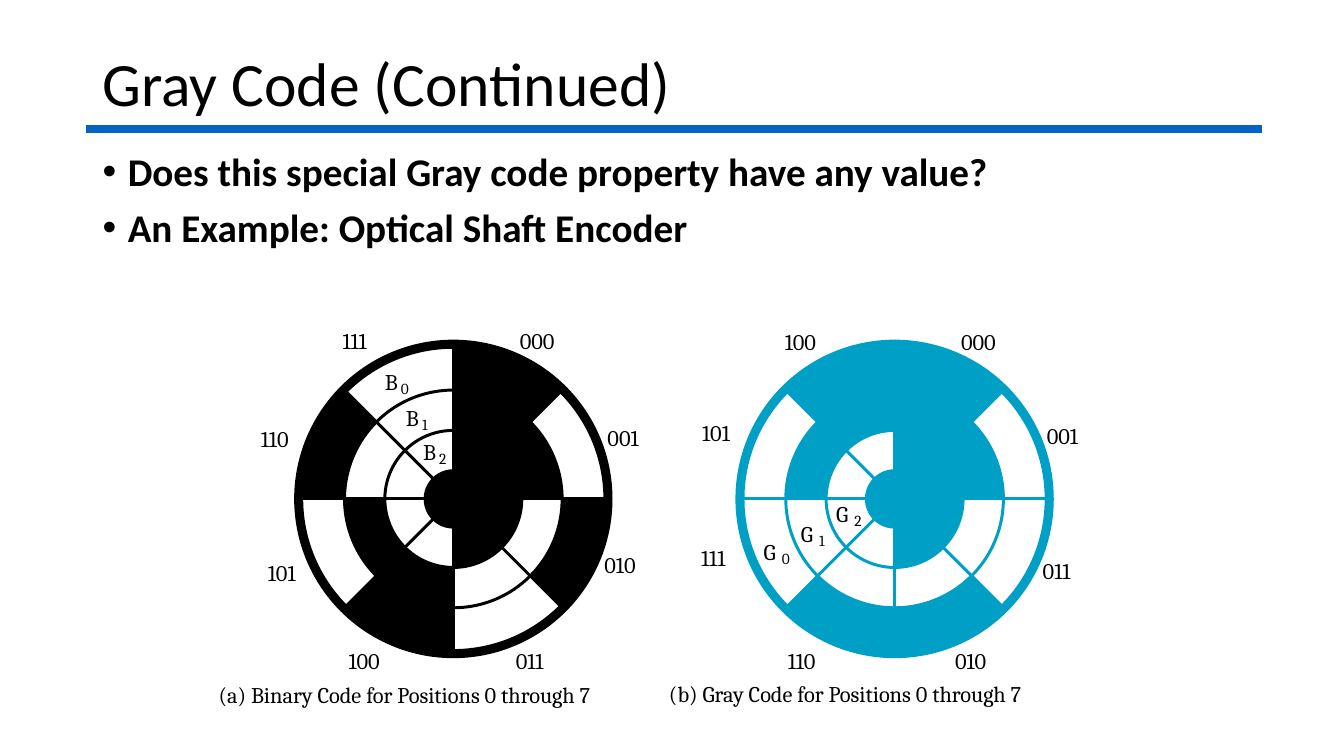
import math
import lxml.etree
import pptx
import pptx.dml.color
import pptx.enum.shapes
import pptx.enum.text
import pptx.oxml.ns
import pptx.util

BLACK = pptx.dml.color.RGBColor(0x00, 0x00, 0x00)
TEAL = pptx.dml.color.RGBColor(0x00, 0xA0, 0xC6)
BLUE = pptx.dml.color.RGBColor(0x05, 0x63, 0xC1)

TITLE = "Gray Code (Continued)"
POINTS = ["Does this special Gray code property have any value?",
          "An Example: Optical Shaft Encoder"]
RIM = 158
RIM_WIDTH = 9
HUB, INNER, MIDDLE, OUTER = 28, 68, 108, 154
STEP = 45
HALF = [(INNER, 0), (INNER, 180)]
DISCS = [
    dict(center=(450, 495), color=BLACK, letter="B", gap=16,
         tracks=[(382, 365), (403, 401), (420, 435)],
         areas=[
             [(0, 0), (OUTER, 0), (OUTER, 45)],
             HALF,
             [(INNER, 180), (MIDDLE, 0), (MIDDLE, 90), (HUB, 90)],
             [(MIDDLE, 135), (OUTER, 135), (OUTER, 90), (MIDDLE, 90), (MIDDLE, 135)],
             [(INNER, 270), (INNER, 180), (OUTER, 180), (OUTER, 225), (MIDDLE, 225), (MIDDLE, 270)],
             [(MIDDLE, 270), (MIDDLE, 315), (OUTER, 315), (OUTER, 270)]],
         codes=[("000", 516, 325), ("001", 603, 421), ("010", 600, 547), ("011", 512, 642),
                ("100", 346, 642), ("101", 266, 555), ("110", 259, 422), ("111", 340, 325)],
         caption=("(a) Binary Code for Positions 0 through 7", 217, 676, 428)),
    dict(center=(888, 495), color=TEAL, letter="G", gap=18,
         tracks=[(758, 534), (795, 516), (830, 496)],
         areas=[
             HALF,
             [(0, 0), (MIDDLE, 90), (MIDDLE, -90), (INNER, -90), (INNER, 0)],
             [(MIDDLE, -45), (MIDDLE, 45), (OUTER, 45), (OUTER, -45)],
             [(MIDDLE, 225), (MIDDLE, 135), (OUTER, 135), (OUTER, 225)]],
         codes=[("000", 954, 326), ("001", 1039, 419), ("011", 1035, 553), ("010", 948, 642),
                ("110", 782, 642), ("111", 696, 540), ("101", 697, 416), ("100", 779, 326)],
         caption=("(b) Gray Code for Positions 0 through 7", 664, 675, 409)),
]
STROKE = pptx.util.Pt(2.13)
OVAL = pptx.enum.shapes.MSO_SHAPE.OVAL
DONUT = pptx.enum.shapes.MSO_SHAPE.DONUT


def px(n):
    return round(n * 9144)


deck = pptx.Presentation()
deck.slide_width, deck.slide_height = px(1334), px(750)
slide = deck.slides.add_slide(deck.slide_layouts[6])
shapes = slide.shapes


def text(lines, x, y, w, h, size=16, font="Cambria", bold=False, inset=(0, 0),
         spacing=1.0, before=0, bullet=False, anchor=pptx.enum.text.MSO_ANCHOR.TOP):
    frame = shapes.add_textbox(px(x), px(y), px(w), px(h)).text_frame
    frame.word_wrap = True
    frame.vertical_anchor = anchor
    frame.margin_left = frame.margin_right = px(inset[0])
    frame.margin_top = frame.margin_bottom = px(inset[1])
    for i, line in enumerate(lines):
        para = frame.paragraphs[0] if i == 0 else frame.add_paragraph()
        if bullet:
            props = para._p.get_or_add_pPr()
            props.set("marL", str(px(25)))
            props.set("indent", str(px(-25)))
            for tag, key, value in (("a:buFont", "typeface", "Arial"), ("a:buChar", "char", "•")):
                lxml.etree.SubElement(props, pptx.oxml.ns.qn(tag)).set(key, value)
        para.line_spacing = spacing
        if i:
            para.space_before = pptx.util.Pt(before)
        run = para.add_run()
        run.text = line
        run.font.size = pptx.util.Pt(size)
        run.font.name = font
        run.font.bold = bold
        run.font.color.rgb = BLACK


def rule(start, end, color, width):
    line = shapes.add_connector(pptx.enum.shapes.MSO_CONNECTOR.STRAIGHT,
                                *map(px, start), *map(px, end))
    line.line.color.rgb = color
    line.line.width = width
    lxml.etree.SubElement(line._element.spPr, pptx.oxml.ns.qn("a:effectLst"))


def spot(center, radius, angle):
    turn = math.radians(angle)
    return center[0] + radius * math.sin(turn), center[1] - radius * math.cos(turn)


def ring(kind, center, radius, color, filled, edged):
    shape = shapes.add_shape(kind, px(center[0] - radius), px(center[1] - radius),
                             px(2 * radius), px(2 * radius))
    shape.shadow.inherit = False
    if filled:
        shape.fill.solid()
        shape.fill.fore_color.rgb = color
    else:
        shape.fill.background()
    if edged:
        shape.line.color.rgb = color
        shape.line.width = STROKE
    else:
        shape.line.fill.background()
    return shape


def split(nodes):
    full = nodes[:1]
    for (old, start), (radius, end) in zip(nodes, nodes[1:]):
        if radius == old:
            turn = STEP if end > start else -STEP
            full += [(radius, a) for a in range(start + turn, end + turn, turn)]
        else:
            full.append((radius, end))
    return full


def curve(center, radius, start, end):
    turn = math.radians(end - start)
    pull = math.atan(4 / 3 * math.tan(turn / 4))
    reach = radius / math.cos(pull)
    bend = math.degrees(pull)
    return [spot(center, reach, start + bend), spot(center, reach, end - bend),
            spot(center, radius, end)]


def area(center, nodes, color):
    nodes = split(nodes)
    points = [tuple(map(px, spot(center, *node))) for node in nodes]
    pen = shapes.build_freeform(*points[0], scale=1.0)
    pen.add_line_segments(points[1:], close=True)
    shape = pen.convert_to_shape()
    shape.shadow.inherit = False
    shape.fill.solid()
    shape.fill.fore_color.rgb = color
    shape.line.fill.background()
    sides = list(shape._element.iter(pptx.oxml.ns.qn("a:lnTo")))
    for side, (old, start), (radius, end) in zip(sides, nodes, nodes[1:]):
        if radius == old:
            side.clear()
            arc = lxml.etree.Element(pptx.oxml.ns.qn("a:cubicBezTo"))
            for x, y in curve(center, radius, start, end):
                point = lxml.etree.SubElement(arc, pptx.oxml.ns.qn("a:pt"))
                point.set("x", str(px(x) - shape.left))
                point.set("y", str(px(y) - shape.top))
            side.getparent().replace(side, arc)


def disc(center, color, letter, gap, tracks, areas, codes, caption):
    rim = ring(DONUT, center, RIM, color, True, False)
    rim.adjustments[0] = RIM_WIDTH / (2 * RIM)
    for radius in (MIDDLE, INNER):
        ring(OVAL, center, radius, color, False, True)
    ring(OVAL, center, HUB, color, True, True)
    for angle in range(0, 180, STEP):
        rule(spot(center, OUTER, angle), spot(center, OUTER, angle + 180), color, STROKE)
    for nodes in areas:
        area(center, nodes, color)
    for i, (x, y) in enumerate(tracks):
        text([letter], x, y, 16, 27)
        text([str(i)], x + gap, y + 11, 9, 18, size=11)
    for code, x, y in codes:
        text([code], x, y, 37, 27)
    words, x, y, width = caption
    text([words], x, y, width, 27)


rule((85, 128), (1253, 128), BLUE, pptx.util.Pt(6))
text([TITLE], 92, 40, 1150, 92, size=44, font="Calibri", inset=(10, 5), spacing=0.9,
     anchor=pptx.enum.text.MSO_ANCHOR.MIDDLE)
text(POINTS, 92, 146, 1150, 529, size=28, font="Calibri", bold=True, inset=(10, 5),
     spacing=0.9, before=10, bullet=True)
for item in DISCS:
    disc(**item)

deck.save("out.pptx")
